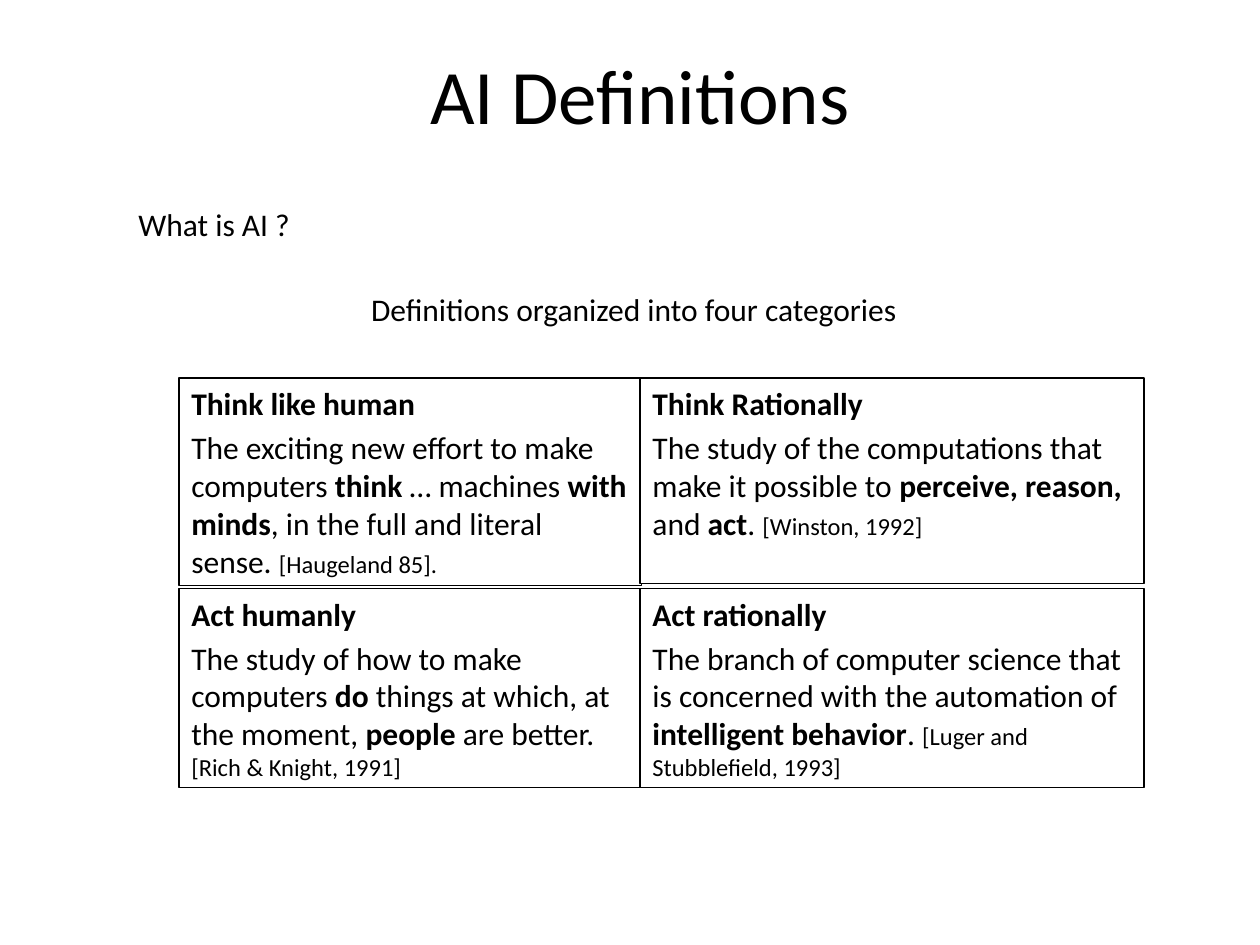
from pptx import Presentation
from pptx.dml.color import RGBColor
from pptx.enum.shapes import MSO_SHAPE
from pptx.enum.text import MSO_ANCHOR, PP_ALIGN
from pptx.util import Inches, Pt

RECTANGLE = MSO_SHAPE.RECTANGLE
LEFT, CENTER, TOP = PP_ALIGN.LEFT, PP_ALIGN.CENTER, MSO_ANCHOR.TOP
COLORS = {"ink": "000000", "paper": "FFFFFF"}
FONT = "Calibri"

# Run styles: size in points and weight
PLAIN = {"size": Pt(18), "bold": False}
STRONG = {"size": Pt(18), "bold": True}
SOURCE = {"size": Pt(14), "bold": False}
TITLE = {"size": Pt(44), "bold": False}

# Headings: text, style, alignment, wrap, (left, top, width, height)
HEADINGS = [
    ("AI Definitions", TITLE, CENTER, True, (1.83, 0.33, 6.5, 0.84)),
    ("What is AI ?", PLAIN, LEFT, True, (1, 1.58, 2.08, 0.4)),
    (" Definitions organized into four categories", PLAIN, LEFT, False,
     (2.79, 2.25, 4.52, 0.4)),
]

# Categories, row by row: name, then the runs of the definition
CATEGORIES = [
    [("Think like human", [
        ("The exciting new effort to make computers ", PLAIN),
        ("think ", STRONG), ("… machines ", PLAIN), ("with minds", STRONG),
        (", in the full and literal sense. ", PLAIN),
        ("[Haugeland 85].", SOURCE)]),
     ("Think Rationally", [
        ("The study of the computations that make it possible to ", PLAIN),
        ("perceive, reason, ", STRONG), ("and", PLAIN), (" act", STRONG),
        (". ", PLAIN), ("[Winston, 1992]", SOURCE)])],
    [("Act humanly", [
        ("The study of how to make computers ", PLAIN), ("do", STRONG),
        (" things at which, at the moment, ", PLAIN), ("people", STRONG),
        (" are better. ", PLAIN), ("[Rich & Knight, 1991]", SOURCE)]),
     ("Act rationally", [
        ("The branch of computer science that is concerned with the "
         "automation of ", PLAIN),
        ("intelligent behavior", STRONG), (". ", PLAIN),
        ("[Luger and Stubblefield, 1993]", SOURCE)])],
]

# Grid: (left, width) of columns, top of rows, height of each cell
COLUMNS = [(1.42, 3.67), (5.08, 4)]
ROW_TOPS = [3, 4.67]
HEIGHTS = [[1.65, 1.63], [1.58, 1.58]]
SPACE_BEFORE = [4.5, 3.5]


def color(name):
    return RGBColor.from_string(COLORS[name])


def write(para, runs):
    for text, style in runs:
        span = para.add_run()
        span.text = text
        span.font.name = FONT
        span.font.color.rgb = color("ink")
        for key, value in style.items():
            setattr(span.font, key, value)


def add_heading(page, text, style, align, wrap, place):
    box = page.shapes.add_textbox(*map(Inches, place))
    box.text_frame.word_wrap = wrap
    para = box.text_frame.paragraphs[0]
    para.alignment = align
    write(para, [(text, style)])


def add_category(page, name, definition, place):
    box = page.shapes.add_shape(RECTANGLE, *map(Inches, place))
    box.shadow.inherit = False
    box.fill.solid()
    box.fill.fore_color.rgb = color("paper")
    box.line.color.rgb = color("ink")
    box.line.width = Pt(0.75)
    frame = box.text_frame
    frame.word_wrap = True
    frame.vertical_anchor = TOP
    paras = [frame.paragraphs[0], frame.add_paragraph()]
    contents = [[(name, STRONG)], definition]
    for para, runs, space in zip(paras, contents, SPACE_BEFORE):
        para.alignment = LEFT
        para.space_before = Pt(space)
        write(para, runs)


def main():
    deck = Presentation()
    deck.slide_width, deck.slide_height = Inches(10), Inches(7.5)
    page = deck.slides.add_slide(deck.slide_layouts[6])

    # Title and lead-in lines
    for heading in HEADINGS:
        add_heading(page, *heading)

    # Two by two grid of definitions
    for top, heights, row in zip(ROW_TOPS, HEIGHTS, CATEGORIES):
        for (left, width), height, category in zip(COLUMNS, heights, row):
            add_category(page, *category, (left, top, width, height))

    deck.save("out.pptx")


if __name__ == "__main__":
    main()
